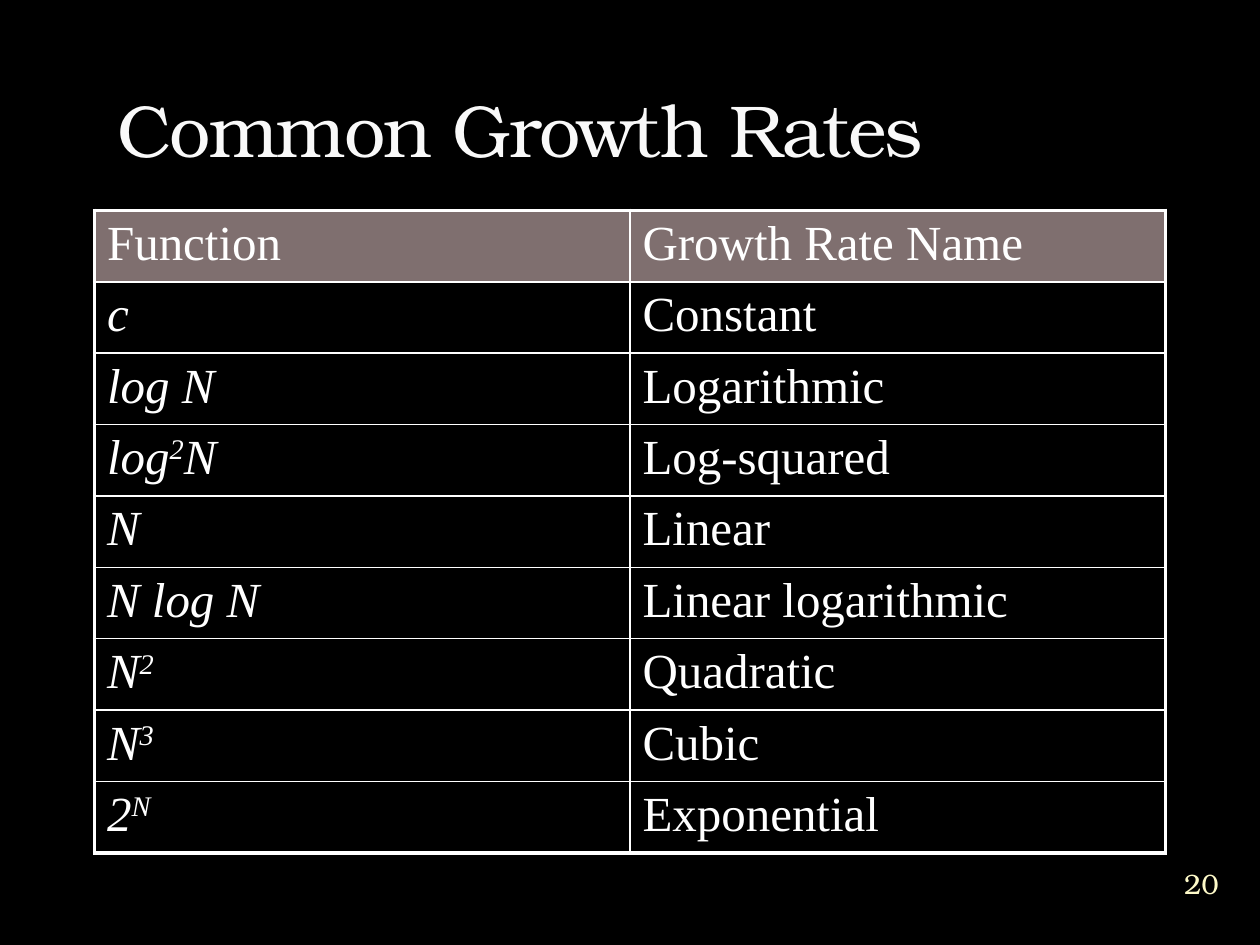
from lxml.etree import SubElement
from pptx import Presentation
from pptx.dml.color import RGBColor as Color
from pptx.enum.text import MSO_ANCHOR as Anchor, MSO_AUTO_SIZE as AutoSize, PP_ALIGN as Align
from pptx.oxml import parse_xml
from pptx.oxml.ns import nsdecls, qn
from pptx.util import Inches, Pt

TITLE = "Common Growth Rates"
PAGE_NUMBER = "20"
HEADERS = ("Function", "Growth Rate Name")
# Each function is a sequence of parts, alternately on the baseline and raised.
GROWTH_RATES = [
    (("c",), "Constant"),
    (("log N",), "Logarithmic"),
    (("log", "2", "N"), "Log-squared"),
    (("N",), "Linear"),
    (("N log N",), "Linear logarithmic"),
    (("N", "2"), "Quadratic"),
    (("N", "3"), "Cubic"),
    (("2", "N"), "Exponential"),
]

THEME = {
    "background": "000000",
    "header_fill": "7F6F6F",
    "border": "FFFFFF",
    "outer_line": 2.25,
    "inner_line": 1,
    "title": {"name": "TeX Gyre Bonum", "size": 42, "color": "F9F9F9"},
    "table": {"name": "Times New Roman", "size": 28, "color": "FFFFFF"},
    "number": {"name": "TeX Gyre Bonum", "size": 16, "color": "FEFAC9"},
}
TITLE_AREA = (0.83, 0.5, 8.5, 0.92)
TABLE_AREA = (0.75, 1.67, 8.5, 5.1)
NUMBER_AREA = (9.2, 6.76, 0.67, 0.5)


def place(shape, area):
    for name, value in zip(("left", "top", "width", "height"), area):
        setattr(shape, name, Inches(value))


def add_span(para, text, style, italic=False, raised=False):
    span = para.add_run()
    span.text = text
    look = {"name": style["name"], "size": Pt(style["size"]), "bold": False, "italic": italic}
    for name, value in look.items():
        setattr(span.font, name, value)
    span.font.color.rgb = Color.from_string(style["color"])
    if raised:
        span.font._element.set("baseline", "30000")
    return span


def set_borders(cell, widths):
    """Draw the left, right, top and bottom lines, which must precede the fill."""
    properties = cell._tc.get_or_add_tcPr()
    for index, (side, width) in enumerate(zip("LRTB", widths)):
        properties.insert(index, parse_xml(
            f'<a:ln{side} {nsdecls("a")} w="{Pt(width)}"><a:solidFill>'
            f'<a:srgbClr val="{THEME["border"]}"/></a:solidFill></a:ln{side}>'))


def fill_cell(cell, parts, header, italic):
    para = cell.text_frame.paragraphs[0]
    spacing = SubElement(para._p.get_or_add_pPr(), qn("a:spcBef"))
    SubElement(spacing, qn("a:spcPct")).set("val", "20000")
    for index, part in enumerate(parts):
        add_span(para, part, THEME["table"], italic, raised=index % 2 == 1)
    if header:
        cell.fill.solid()
        cell.fill.fore_color.rgb = Color.from_string(THEME["header_fill"])
    else:
        cell.fill.background()


def add_title(page):
    box = page.shapes.title
    place(box, TITLE_AREA)
    frame = box.text_frame
    for name, value in {"vertical_anchor": Anchor.BOTTOM, "auto_size": AutoSize.NONE,
                        "word_wrap": True}.items():
        setattr(frame, name, value)
    para = frame.paragraphs[0]
    para.alignment = Align.LEFT
    add_span(para, TITLE, THEME["title"]).font._element.set("spc", "-100")


def add_rate_table(page):
    rows = [[(header,) for header in HEADERS]]
    rows += [[function, (name,)] for function, name in GROWTH_RATES]
    last_row, last_column = len(rows) - 1, len(HEADERS) - 1
    table = page.shapes.add_table(len(rows), len(HEADERS), *map(Inches, TABLE_AREA)).table
    for r, row in enumerate(rows):
        for c, parts in enumerate(row):
            cell = table.cell(r, c)
            fill_cell(cell, parts, header=r == 0, italic=r > 0 and c == 0)
            on_edge = (c == 0, c == last_column, r == 0, r == last_row)
            set_borders(cell, [THEME["outer_line" if edge else "inner_line"] for edge in on_edge])


def add_page_number(page):
    frame = page.shapes.add_textbox(*map(Inches, NUMBER_AREA)).text_frame
    settings = {"word_wrap": True, "vertical_anchor": Anchor.MIDDLE}
    settings.update({f"margin_{side}": 0 for side in ("left", "right", "top", "bottom")})
    for name, value in settings.items():
        setattr(frame, name, value)
    para = frame.paragraphs[0]
    para.alignment = Align.CENTER
    add_span(para, PAGE_NUMBER, THEME["number"])


def main():
    deck = Presentation()
    deck.slide_width, deck.slide_height = Inches(10), Inches(7.5)
    page = deck.slides.add_slide(deck.slide_layouts.get_by_name("Title Only"))
    page.background.fill.solid()
    page.background.fill.fore_color.rgb = Color.from_string(THEME["background"])
    add_title(page)
    add_rate_table(page)
    add_page_number(page)
    deck.save("out.pptx")


if __name__ == "__main__":
    main()
